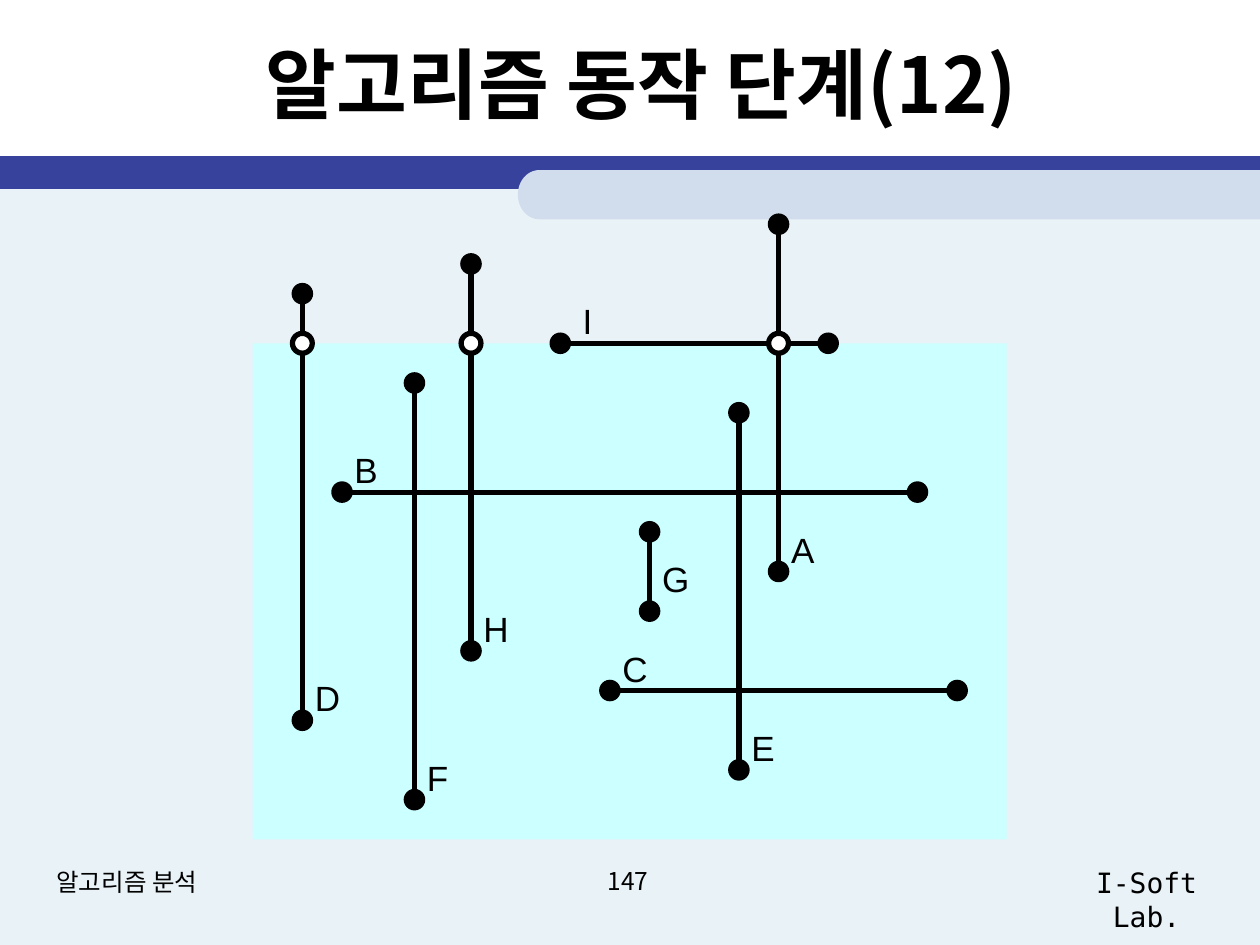
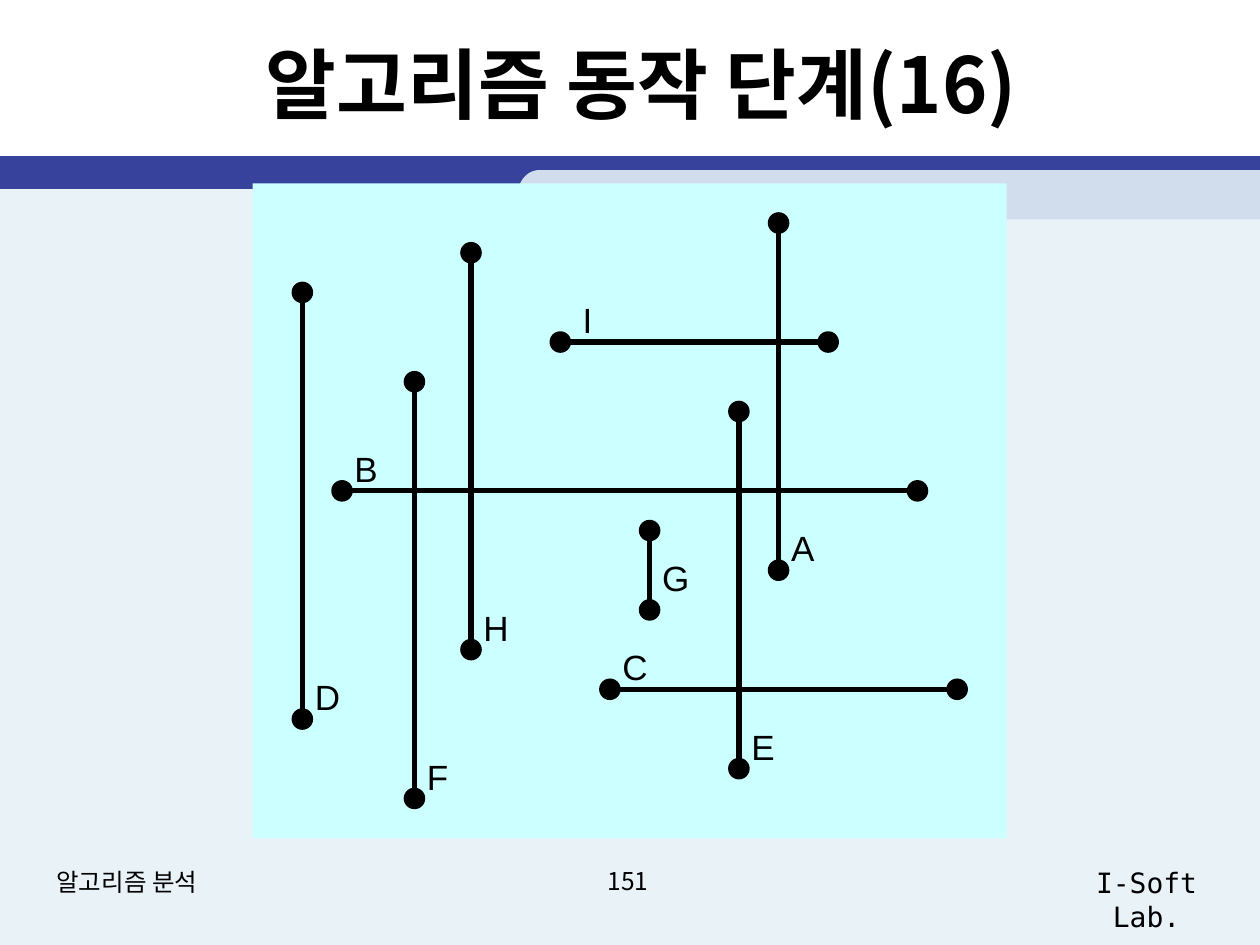
import math
from dataclasses import dataclass
from typing import Any, NamedTuple

from lxml import etree
from pptx import Presentation
from pptx import util as u
from pptx.dml.color import RGBColor
from pptx.enum import shapes, text
from pptx.oxml.ns import qn

CELL = u.Inches(0.1)  # page grid: 100 columns by 75 rows
STEP = u.Mm(2)        # diagram grid
LEFT = u.Inches(2.4)  # diagram column 0


@dataclass(frozen=True)
class Theme:
    ink: str = "000000"
    paper: str = "FFFFFF"
    body: str = "E8F2F7"
    band: str = "36429B"
    tab: str = "D1DDEC"
    panel: str = "CCFFFF"
    sans: str = "Noto Sans CJK KR"
    mono: str = "DejaVu Sans Mono"
    latin: str = "Arial"
    head: int = 44
    tag: int = 20
    lab: int = 16
    foot: int = 14
    thick: int = 3
    thin: int = 1


THEME = Theme()


class Box(NamedTuple):
    """Columns and rows of the page grid."""
    col: float
    row: float
    wide: float
    high: float

    def place(self) -> list[int]:
        return [round(n * CELL) for n in self]


class Note(NamedTuple):
    words: str
    box: Box
    font: str
    size: int
    align: Any


class Seg(NamedTuple):
    """A segment on the diagram grid; its label hangs at (tag_col, tag_row)."""
    name: str
    col: float
    row: float
    end_col: float
    end_row: float
    tag_col: float
    tag_row: float


class Page(NamedTuple):
    step: int
    number: int
    top: float               # inches down to diagram row 0
    sweep: int               # first row of the panel
    peak: int                # top row of segment H
    hits: tuple[float, ...]  # columns marked on the sweep row


PAGES = (
    Page(12, 147, 1.78, 12, 4, (0, 17, 48)),
    Page(16, 151, 1.77, -4, 3, ()),
)
FLOOR = 62  # last row of the panel
CENTER, START = text.PP_ALIGN.CENTER, text.PP_ALIGN.LEFT


def upright(name: str, col: float, top: int, low: int, lift: int = 5) -> Seg:
    return Seg(name, col, top, col, low, col, low - lift)


def level(name: str, row: int, col: int, end: int, shift: int = 0) -> Seg:
    return Seg(name, col, row, end, row, col + shift, row - 5)


def segments(page: Page) -> list[Seg]:
    return [
        upright("A", 48, 0, 35),
        level("B", 27, 4, 62),
        level("C", 47, 31, 66),
        upright("D", 0, 7, 50),
        upright("E", 44, 19, 55),
        upright("F", 11.3, 16, 58),
        upright("G", 35, 31, 39, lift=6),
        upright("H", 17, page.peak, 43),
        level("I", 12, 26, 53, shift=1),
    ]


def color(value: str) -> RGBColor:
    return RGBColor.from_string(value)


def style(para: Any, font: str, size: int, align: Any, bold: bool = False) -> None:
    para.alignment = align
    for run in para.runs:
        face = run.font
        face.name, face.size, face.bold = font, u.Pt(size), bold
        face.color.rgb = color(THEME.ink)
        east = etree.SubElement(run._r.get_or_add_rPr(), qn("a:ea"))
        east.set("typeface", font)


def paint(shape: Any, fill: str, line: int = 0) -> None:
    """Fill a shape; a line of 0 points means no outline."""
    shape.shadow.inherit = False
    shape.fill.solid()
    shape.fill.fore_color.rgb = color(fill)
    if line:
        shape.line.color.rgb = color(THEME.ink)
        shape.line.width = u.Pt(line)
    else:
        shape.line.fill.background()


def block(tree: Any, place: list[int], fill: str) -> None:
    paint(tree.add_shape(shapes.MSO_SHAPE.RECTANGLE, *place), fill)


def write(tree: Any, words: str, place: list[int], font: str, size: int, align: Any) -> None:
    frame = tree.add_textbox(*place).text_frame
    frame.word_wrap = True
    frame.text = words
    style(frame.paragraphs[0], font, size, align)


def tab(tree: Any, box: Box) -> None:
    """Bar running off the right edge with a round left end."""
    left, top, wide, high = box.place()
    mid, bend = high / 2, 1.7 * CELL
    arc = []
    for turn in range(0, 181, 6):
        angle = math.radians(turn)
        arc.append((round(left + bend - bend * math.sin(angle)),
                    round(top + mid - mid * math.cos(angle))))
    pen = tree.build_freeform(left + wide, top)
    pen.add_line_segments(arc + [(left + wide, top + high)], close=True)
    paint(pen.convert_to_shape(), THEME.tab)


def dot(tree: Any, x: int, y: int, fill: str, line: int) -> None:
    size = 2 * STEP
    oval = tree.add_shape(shapes.MSO_SHAPE.OVAL, x - STEP, y - STEP, size, size)
    paint(oval, fill, line)


def stroke(tree: Any, start: tuple[int, int], end: tuple[int, int]) -> None:
    line = tree.add_connector(shapes.MSO_CONNECTOR.STRAIGHT, *start, *end)
    line.line.color.rgb = color(THEME.ink)
    line.line.width = u.Pt(THEME.thick)
    etree.SubElement(line._element.spPr, qn("a:effectLst"))


def diagram(slide: Any, page: Page) -> None:
    tree = slide.shapes.add_group_shape().shapes

    def spot(col: float, row: float) -> tuple[int, int]:
        return round(LEFT + col * STEP), round(u.Inches(page.top) + row * STEP)

    block(tree, [*spot(-5, page.sweep), 76 * STEP, (FLOOR - page.sweep) * STEP], THEME.panel)
    for seg in segments(page):
        ends = spot(seg.col, seg.row), spot(seg.end_col, seg.end_row)
        stroke(tree, *ends)
        for end in ends:
            dot(tree, *end, THEME.ink, THEME.thin)
        place = [*spot(seg.tag_col, seg.tag_row), u.Inches(0.42), u.Inches(0.44)]
        write(tree, seg.name, place, THEME.latin, THEME.tag, START)
    for col in page.hits:
        dot(tree, *spot(col, page.sweep), THEME.paper, THEME.thick)


def frame(slide: Any, page: Page) -> None:
    """Title, bands and footers."""
    tree = slide.shapes
    block(tree, Box(0, 14, 100, 61).place(), THEME.body)
    block(tree, Box(0, 12.4, 100, 2.6).place(), THEME.band)
    tab(tree, Box(41.1, 13.5, 58.9, 3.9))

    title = tree.title
    title.left, title.top, title.width, title.height = Box(5.9, 0.8, 90, 11.5).place()
    body = title.text_frame
    body.text = f"알고리즘 동작 단계({page.step})"
    body.auto_size = text.MSO_AUTO_SIZE.NONE
    body.vertical_anchor = text.MSO_ANCHOR.MIDDLE
    style(body.paragraphs[0], THEME.sans, THEME.head, CENTER, bold=True)

    notes = (
        Note("I-Soft Lab.", Box(83.1, 68.2, 15.8, 3.7), THEME.mono, THEME.lab, CENTER),
        Note("알고리즘 분석", Box(3.5, 68.3, 31.7, 5.2), THEME.sans, THEME.foot, START),
        Note(str(page.number), Box(38.2, 68.2, 23.3, 5.2), THEME.sans, THEME.foot, CENTER),
    )
    for note in notes:
        write(tree, note.words, note.box.place(), note.font, note.size, note.align)


def main() -> None:
    deck = Presentation()
    deck.slide_width, deck.slide_height = 100 * CELL, 75 * CELL
    for page in PAGES:
        slide = deck.slides.add_slide(deck.slide_layouts.get_by_name("Title Only"))
        frame(slide, page)
        diagram(slide, page)
    deck.save("out.pptx")


if __name__ == "__main__":
    main()
